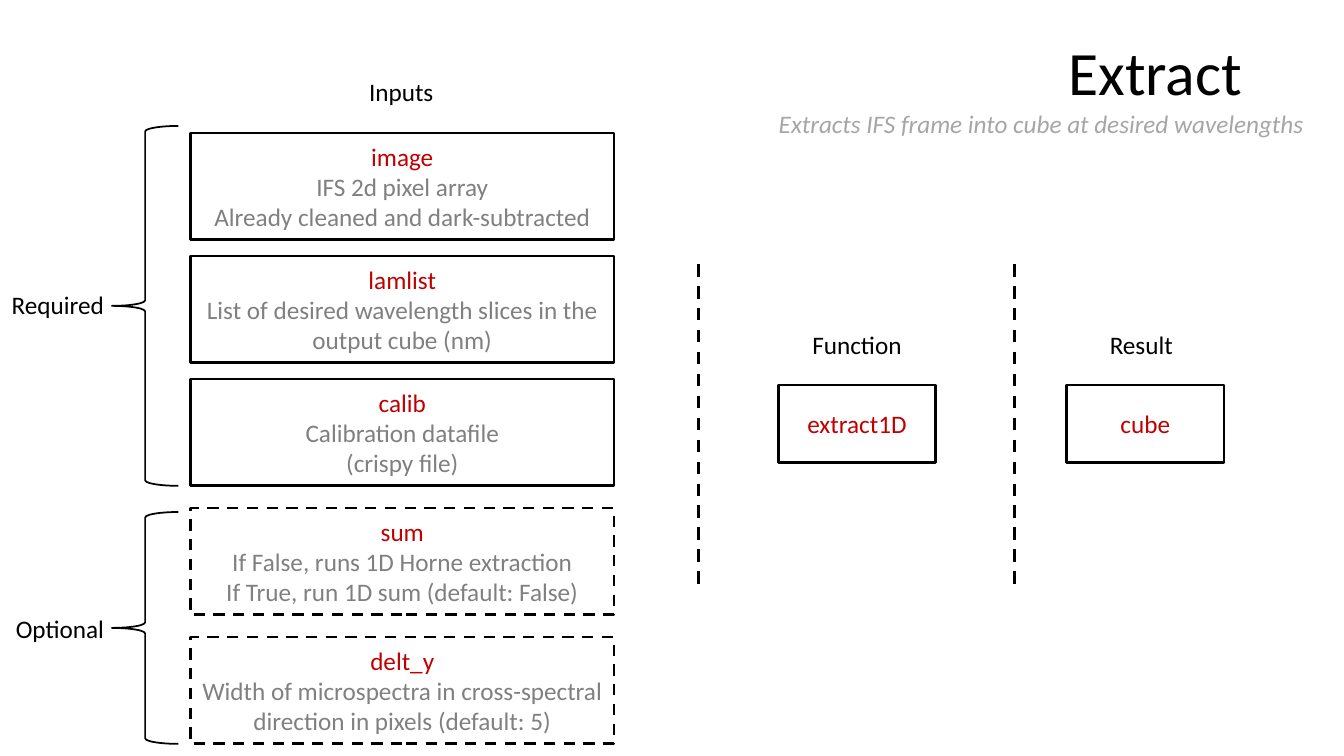
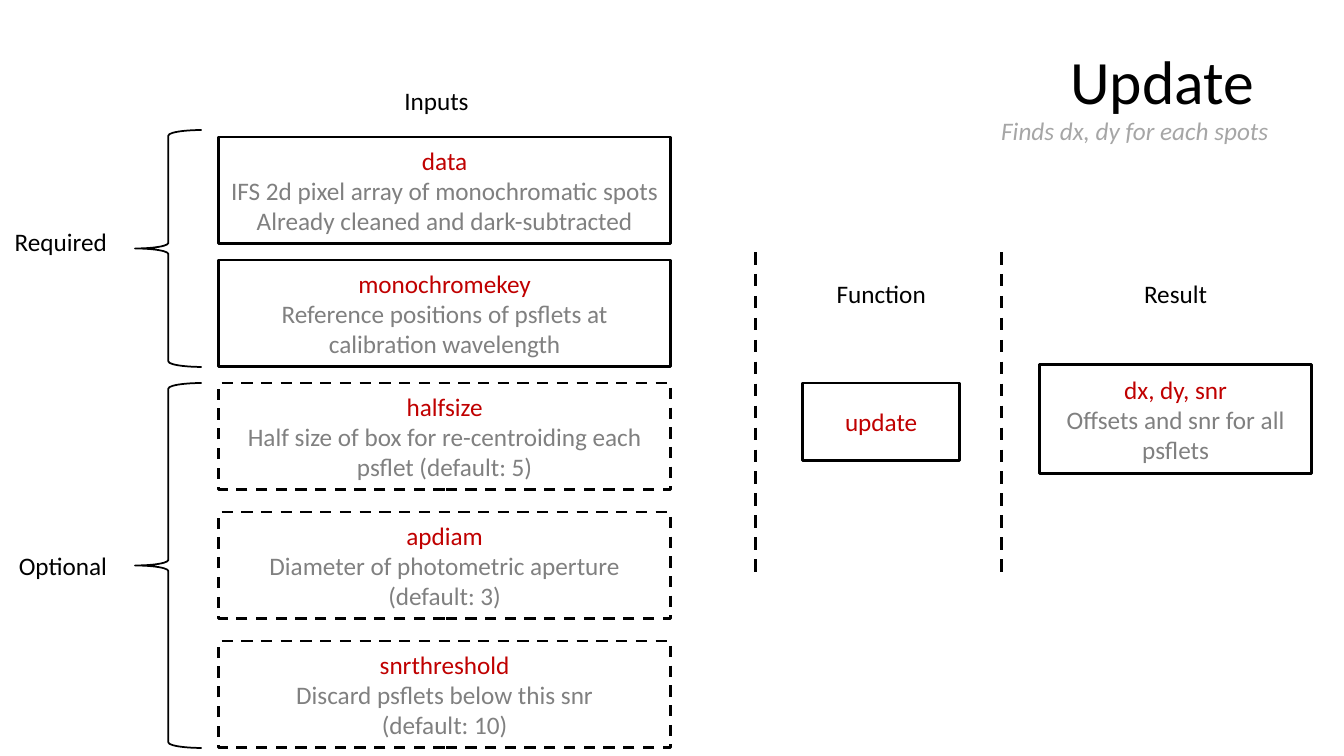
from pptx import Presentation
from pptx.dml.color import RGBColor
from pptx.enum.dml import MSO_LINE_DASH_STYLE as Dash
from pptx.enum.shapes import MSO_CONNECTOR as Connector, MSO_SHAPE as Shape
from pptx.enum.text import MSO_ANCHOR as Anchor, PP_ALIGN as Align
from pptx.oxml.ns import qn
from pptx.util import Inches, Pt
from lxml import etree

# Shared look
FONT = "Calibri"
BLACK, RED, GREY, PALE = "000000", "C00000", "808080", "A6A6A6"
TEXT_SIZE, TITLE_SIZE = 18, 44
LABEL_HEIGHT, HEADING_WIDTH = 0.4, 2
INPUT_HEIGHT, BRACE_WIDTH, DIVIDER_LENGTH = 1.06, 0.66, 3.18

# Content: a group holds its first box top, box pitch, brace top and label top
PAGES = [
    {
        "title": "Extract", "title_place": (12.42, -0.02),
        "subtitle": "Extracts IFS frame into cube at desired wavelengths",
        "subtitle_place": (13.03, 1.02),
        "inputs_x": 1.89, "inputs_width": 4.2, "brace_x": 1.11, "label_right": 1.13,
        "groups": [
            {"label": "Required", "dashed": False, "top": 1.32, "pitch": 1.22,
             "brace_top": 1.25, "label_top": 2.82,
             "inputs": [
                 ("image", "IFS 2d pixel array", "Already cleaned and dark-subtracted"),
                 ("lamlist", "List of desired wavelength slices in the output cube (nm)"),
                 ("calib", "Calibration datafile", "(crispy file)")]},
            {"label": "Optional", "dashed": True, "top": 5.04, "pitch": 1.28,
             "brace_top": 5.08, "label_top": 6.03,
             "inputs": [
                 ("sum", "If False, runs 1D Horne extraction",
                  "If True, run 1D sum (default: False)"),
                 ("delt_y", "Width of microspectra in cross-spectral direction "
                            "in pixels (default: 5)")]},
        ],
        "headings": [("Inputs", 3.98, 0.71), ("Function", 8.5, 3.22), ("Result", 11.32, 3.22)],
        "outcomes": [(("extract1D",), (7.72, 3.82, 1.56, 0.77)),
                     (("cube",), (10.58, 3.82, 1.56, 0.77))],
        "dividers": (6.93, 10.06), "divider_top": 2.62,
    },
    {
        "title": "Update", "title_place": (12.54, 0.07),
        "subtitle": "Finds dx, dy for each spots",
        "subtitle_place": (12.68, 1.09),
        "inputs_x": 2.17, "inputs_width": 4.48, "brace_x": 1.34, "label_right": 1.16,
        "groups": [
            {"label": "Required", "dashed": False, "top": 1.36, "pitch": 1.22,
             "brace_top": 1.29, "label_top": 2.2,
             "inputs": [
                 ("data", "IFS 2d pixel array of monochromatic spots",
                  "Already cleaned and dark-subtracted"),
                 ("monochromekey", "Reference positions of psflets at calibration wavelength")]},
            {"label": "Optional", "dashed": True, "top": 3.8, "pitch": 1.28,
             "brace_top": 3.8, "label_top": 5.41,
             "inputs": [
                 ("halfsize", "Half size of box for re-centroiding each psflet (default: 5)"),
                 ("apdiam", "Diameter of photometric aperture", "(default: 3)"),
                 ("snrthreshold", "Discard psflets below this snr", "(default: 10)")]},
        ],
        "headings": [("Inputs", 4.33, 0.8), ("Function", 8.74, 2.71), ("Result", 11.66, 2.71)],
        "outcomes": [(("update",), (7.96, 3.8, 1.56, 0.77)),
                     (("dx, dy, snr", "Offsets and snr for all psflets"),
                      (10.31, 3.62, 2.7, 1.08))],
        "dividers": (7.49, 9.93), "divider_top": 2.5,
    },
]


def color(value):
    return RGBColor.from_string(value)


def write(para, text, ink, align, size=TEXT_SIZE, italic=False):
    para.alignment = align
    span = para.add_run()
    span.text = text
    span.font.name, span.font.size = FONT, Pt(size)
    span.font.italic = italic
    span.font.color.rgb = color(ink)


def add_text(page, text, left, top, width, align, height=LABEL_HEIGHT,
             ink=BLACK, size=TEXT_SIZE, italic=False):
    box = page.shapes.add_textbox(*map(Inches, (left, top, width, height)))
    frame = box.text_frame
    frame.word_wrap = True
    frame.vertical_anchor = Anchor.MIDDLE
    write(frame.paragraphs[0], text, ink, align, size, italic)


def style_line(line, width, dashed=False):
    line.color.rgb = color(BLACK)
    line.width = Pt(width)
    if dashed:
        line.dash_style = Dash.DASH


def add_outline(page, kind, place, width, dashed=False):
    shape = page.shapes.add_shape(kind, *map(Inches, place))
    shape.shadow.inherit = False
    shape.fill.background()
    style_line(shape.line, width, dashed)
    return shape


def add_card(page, lines, place, dashed=False):
    """Outlined box: red name, then grey description lines."""
    frame = add_outline(page, Shape.RECTANGLE, place, 2, dashed).text_frame
    frame.word_wrap = True
    frame.vertical_anchor = Anchor.MIDDLE
    for i, text in enumerate(lines):
        para = frame.add_paragraph() if i else frame.paragraphs[0]
        write(para, text, GREY if i else RED, Align.CENTER)


def add_divider(page, x, top):
    line = page.shapes.add_connector(
        Connector.STRAIGHT, *map(Inches, (x, top, x, top + DIVIDER_LENGTH)))
    style_line(line.line, 2.25, dashed=True)
    etree.SubElement(line._element.spPr, qn("a:effectLst"))


def add_group(page, data, group):
    """Input boxes with their brace and label."""
    for row, lines in enumerate(group["inputs"]):
        top = group["top"] + row * group["pitch"]
        add_card(page, lines, (data["inputs_x"], top, data["inputs_width"], INPUT_HEIGHT),
                 group["dashed"])
    brace_height = top + INPUT_HEIGHT - group["brace_top"]
    add_outline(page, Shape.LEFT_BRACE,
                (data["brace_x"], group["brace_top"], BRACE_WIDTH, brace_height), 1.25)
    add_text(page, group["label"], 0, group["label_top"], data["label_right"], Align.RIGHT)


def build_page(page, data):
    # Title and subtitle, set from their right edges
    right, top = data["title_place"]
    add_text(page, data["title"], right - 4, top, 4, Align.RIGHT, height=1.45, size=TITLE_SIZE)
    right, top = data["subtitle_place"]
    add_text(page, data["subtitle"], right - 5.8, top, 5.8, Align.RIGHT, ink=PALE, italic=True)

    # Inputs, function and result
    for group in data["groups"]:
        add_group(page, data, group)
    for lines, place in data["outcomes"]:
        add_card(page, lines, place)
    for text, center, top in data["headings"]:
        add_text(page, text, center - HEADING_WIDTH / 2, top, HEADING_WIDTH, Align.CENTER)
    for x in data["dividers"]:
        add_divider(page, x, data["divider_top"])


def main():
    deck = Presentation()
    deck.slide_width, deck.slide_height = Inches(13.33), Inches(7.5)
    for data in PAGES:
        build_page(deck.slides.add_slide(deck.slide_layouts[6]), data)
    deck.save("out.pptx")


if __name__ == "__main__":
    main()
